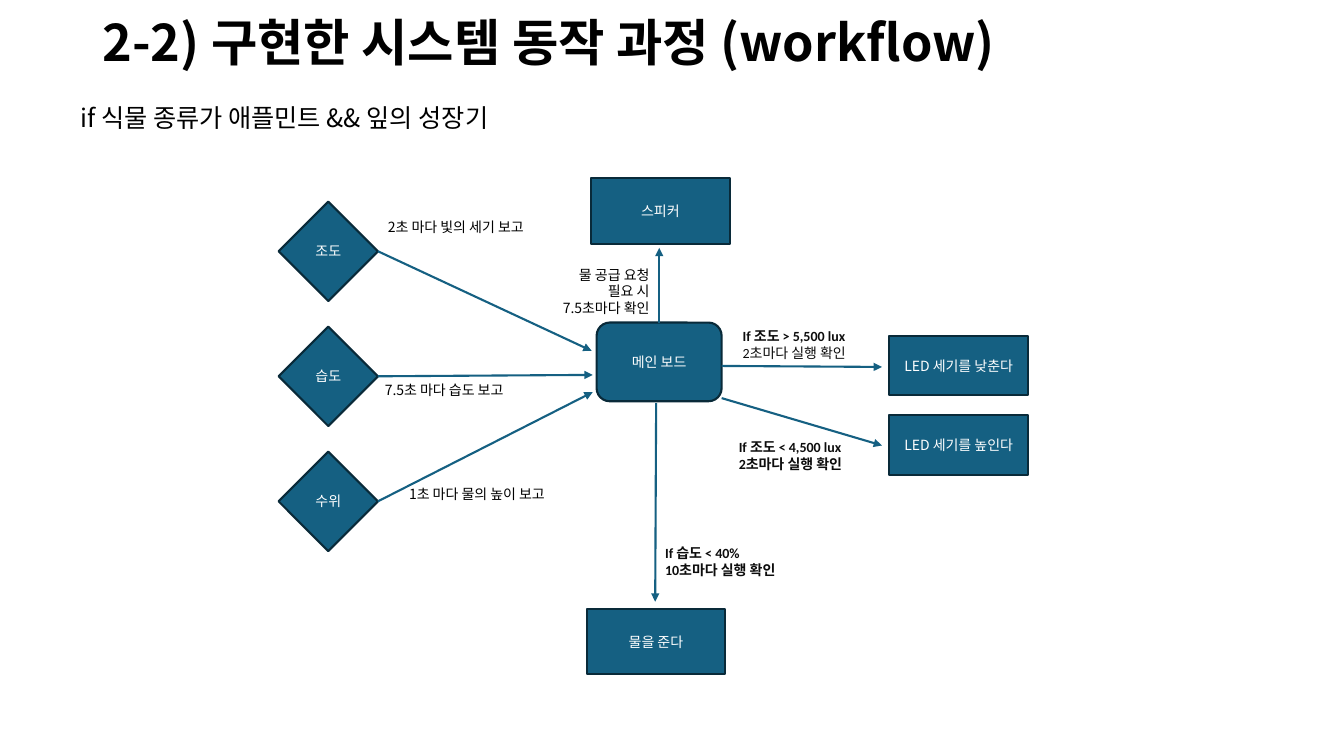
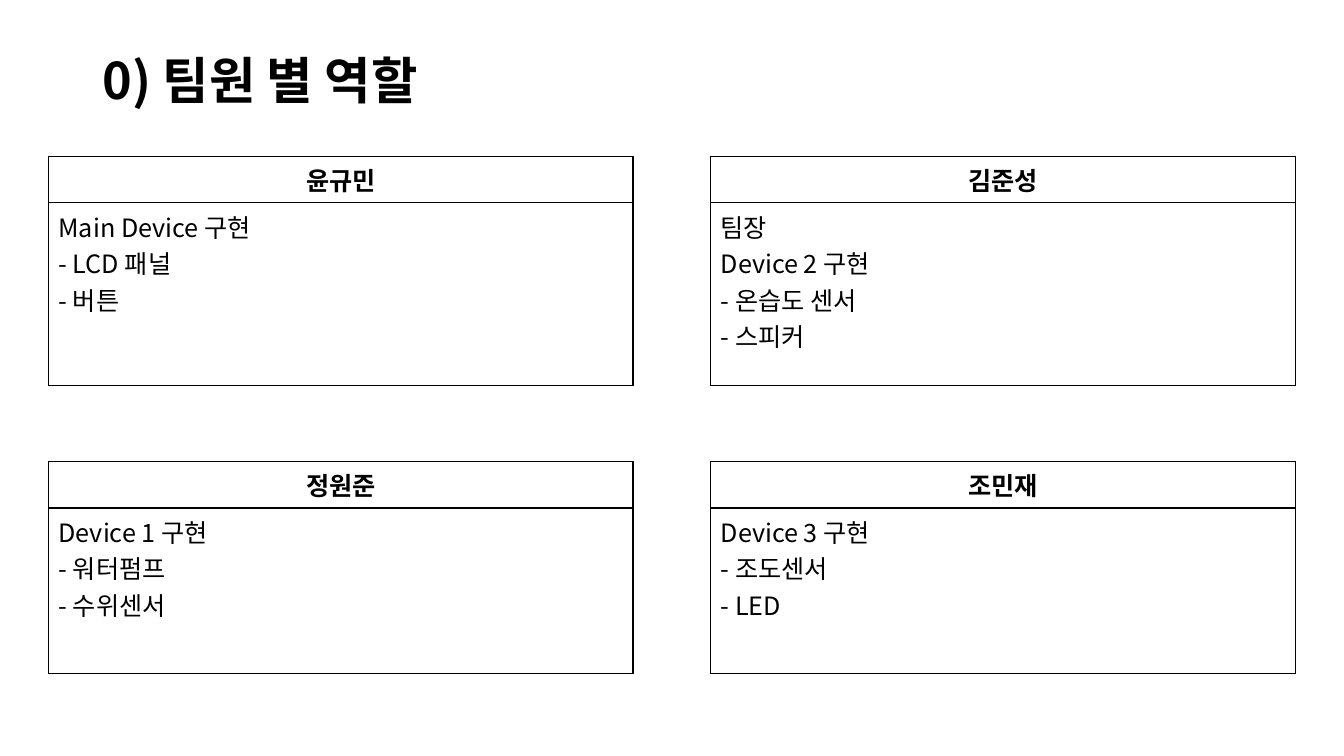
from collections import namedtuple

from pptx import Presentation
from pptx.dml.color import RGBColor
from pptx.enum.shapes import MSO_CONNECTOR, MSO_SHAPE
from pptx.enum.text import MSO_ANCHOR, MSO_AUTO_SIZE, PP_ALIGN
from pptx.oxml.xmlchemy import OxmlElement
from pptx.util import Pt

Box = namedtuple("Box", "left top width height")

KOREAN_FONT = "Noto Sans CJK KR"
LATIN_FONT = "Calibri"
BLACK, WHITE = "000000", "FFFFFF"
BLUE, NAVY, CHARCOAL = "156082", "092A39", "0D0D0D"

TITLE = {"size": Pt(36), "bold": True, "name": KOREAN_FONT, "color": BLACK}
BODY = {"size": Pt(18), "bold": False, "name": KOREAN_FONT, "color": BLACK}
HEADING = {**BODY, "bold": True}
NODE = {"size": Pt(10), "bold": False, "name": KOREAN_FONT, "color": WHITE}
NOTE = {**NODE, "color": BLACK}
CONDITION = {**NODE, "name": LATIN_FONT, "color": CHARCOAL}
CONDITION_BOLD = {**CONDITION, "bold": True}


def color(hex_string):
    return RGBColor.from_string(hex_string)


def points(box):
    return [Pt(value) for value in box]


def within(box, left, top, width, height):
    return Box(box.left + left, box.top + top, width, height)


def write(text_frame, lines, align=PP_ALIGN.LEFT, spacing=None):
    for index, (text, style) in enumerate(lines):
        paragraph = text_frame.paragraphs[0] if index == 0 else text_frame.add_paragraph()
        paragraph.alignment = align
        if spacing:
            paragraph.line_spacing = spacing
        run = paragraph.add_run()
        run.text = text
        for attribute, value in style.items():
            if attribute == "color":
                run.font.color.rgb = color(value)
            else:
                setattr(run.font, attribute, value)
        east_asian = OxmlElement("a:ea")
        east_asian.set("typeface", KOREAN_FONT)
        run.font._element.append(east_asian)


def add_titled_slide(presentation, text, box):
    slide = presentation.slides.add_slide(presentation.slide_layouts[5])
    title = slide.shapes.title
    title.left, title.top, title.width, title.height = points(box)
    title.text_frame.vertical_anchor = MSO_ANCHOR.MIDDLE
    write(title.text_frame, [(text, TITLE)], spacing=0.9)
    return slide


def add_node(slide, preset, text, box):
    shape = slide.shapes.add_shape(preset, *points(box))
    shape.shadow.inherit = False
    shape.fill.solid()
    shape.fill.fore_color.rgb = color(BLUE)
    shape.line.color.rgb = color(NAVY)
    shape.line.width = Pt(1.5)
    shape.text_frame.vertical_anchor = MSO_ANCHOR.MIDDLE
    write(shape.text_frame, [(text, NODE)], PP_ALIGN.CENTER)


def add_label(slide, lines, box, align=PP_ALIGN.LEFT, wrap=True):
    text_frame = slide.shapes.add_textbox(*points(box)).text_frame
    text_frame.word_wrap = wrap
    text_frame.auto_size = MSO_AUTO_SIZE.SHAPE_TO_FIT_TEXT
    write(text_frame, lines, align)


def add_arrow(slide, box, start, end):
    ends = [Pt(value + offset) for point in (start, end)
            for value, offset in zip(point, (box.left, box.top))]
    connector = slide.shapes.add_connector(MSO_CONNECTOR.STRAIGHT, *ends)
    connector.line.color.rgb = color(BLUE)
    connector.line.width = Pt(1.5)
    arrowhead = OxmlElement("a:tailEnd")
    arrowhead.set("type", "triangle")
    connector.line._get_or_add_ln().append(arrowhead)
    connector._element.spPr.append(OxmlElement("a:effectLst"))


def add_sensors(slide, box):
    size, step = 71, 89.3
    sensors = [
        ("조도", "2초 마다 빛의 세기 보고", (71, 8.6), (223.6, 106.6)),
        ("습도", "7.5초 마다 습도 보고", (68.8, 125.3), (224.4, 123.8)),
        ("수위", "1초 마다 물의 높이 보고", (86.1, 199.4), (224.4, 136.1)),
    ]
    for index, (name, report, label, target) in enumerate(sensors):
        top = index * step
        add_node(slide, MSO_SHAPE.DIAMOND, name, within(box, 0, top, size, size))
        add_arrow(slide, box, (size, top + size / 2), target)
        add_label(slide, [(report, NOTE)], within(box, *label, 130.3, 19.4))


def add_controller(slide, box):
    add_node(slide, MSO_SHAPE.ROUNDED_RECTANGLE, "메인 보드", within(box, 6.4, 103, 89.3, 56.2))
    add_node(slide, MSO_SHAPE.RECTANGLE, "스피커", within(box, 2.2, 0, 99.4, 46.8))
    add_node(slide, MSO_SHAPE.RECTANGLE, "물을 준다", within(box, -0.8, 307.5, 99, 46.8))
    add_arrow(slide, box, (51.1, 103), (51.1, 49.7))
    add_arrow(slide, box, (48.9, 160.6), (48.2, 302.4))
    requests = ["물 공급 요청", "필요 시", "7.5초마다 확인"]
    add_label(slide, [(text, NOTE) for text in requests],
              within(box, -79.2, 59.1, 130.3, 43.9), PP_ALIGN.RIGHT)
    add_label(slide, [("If 습도 < 40%", CONDITION_BOLD), ("10초마다 실행 확인", CONDITION_BOLD)],
              within(box, 48.2, 257.8, 108.7, 31.7))


def add_lights(slide, box):
    lights = [
        ("LED 세기를 낮춘다", "If 조도 > 5,500 lux", CONDITION, (5.4, 0), (-2.5, 31), (112, 31.7)),
        ("LED 세기를 높인다", "If 조도 < 4,500 lux", CONDITION_BOLD, (2.6, 79.2), (-2.5, 54), (112, 87.8)),
    ]
    for index, (action, condition, check_style, label, start, end) in enumerate(lights):
        add_node(slide, MSO_SHAPE.RECTANGLE, action,
                 within(box, 117, 9.4 + index * 56.9, 99.4, 42.5))
        add_label(slide, [(condition, CONDITION_BOLD), ("2초마다 실행 확인", check_style)],
                  within(box, *label, 99.4, 31.7))
        add_arrow(slide, box, start, end)


def add_workflow_slide(presentation):
    slide = add_titled_slide(presentation, "2-2) 구현한 시스템 동작 과정 (workflow)",
                             Box(66, -20, 828, 104.4))
    add_label(slide, [("if 식물 종류가 애플민트 && 잎의 성장기", BODY)],
              Box(50.4, 69.8, 347.8, 28.8), wrap=False)
    diagram = Box(199, 127.4, 536, 355)
    add_sensors(slide, within(diagram, 0, 16.6, 225, 250))
    add_controller(slide, within(diagram, 220.8, 0, 102, 355))
    add_lights(slide, within(diagram, 319, 103, 217, 112))


def format_cell(cell):
    properties = cell._tc.get_or_add_tcPr()
    for side in ("a:lnL", "a:lnR", "a:lnT", "a:lnB"):
        border = OxmlElement(side)
        border.set("w", str(Pt(1)))
        fill = OxmlElement("a:solidFill")
        rgb = OxmlElement("a:srgbClr")
        rgb.set("val", BLACK)
        fill.append(rgb)
        border.append(fill)
        properties.append(border)
    cell.fill.solid()
    cell.fill.fore_color.rgb = color(WHITE)


def add_member(slide, name, roles, box):
    header = 33
    table = slide.shapes.add_table(2, 1, *points(box)).table
    table.first_row = table.horz_banding = False
    contents = [
        (header, [(name, HEADING)], PP_ALIGN.CENTER),
        (box.height - header, [(role, BODY) for role in roles], PP_ALIGN.LEFT),
    ]
    for index, (height, lines, align) in enumerate(contents):
        table.rows[index].height = Pt(height)
        cell = table.cell(index, 0)
        format_cell(cell)
        write(cell.text_frame, lines, align)


def add_team_slide(presentation):
    slide = add_titled_slide(presentation, "0) 팀원 별 역할", Box(66, 7, 828, 104.4))
    members = [
        ("윤규민", ["Main Device 구현", "- LCD 패널", "- 버튼"]),
        ("김준성", ["팀장", "Device 2 구현", "- 온습도 센서", "- 스피커"]),
        ("정원준", ["Device 1 구현", "- 워터펌프", "- 수위센서"]),
        ("조민재", ["Device 3 구현", "- 조도센서", "- LED"]),
    ]
    grid = Box(34.6, 111.6, 890.6, 369)
    width, heights = 417.6, (163.5, 151)
    for index, (name, roles) in enumerate(members):
        row, column = divmod(index, 2)
        left = column * (grid.width - width)
        top = row * (grid.height - heights[1])
        add_member(slide, name, roles, within(grid, left, top, width, heights[row]))


def main():
    presentation = Presentation()
    presentation.slide_width, presentation.slide_height = Pt(960), Pt(540)
    add_workflow_slide(presentation)
    add_team_slide(presentation)
    presentation.save("out.pptx")


if __name__ == "__main__":
    main()
